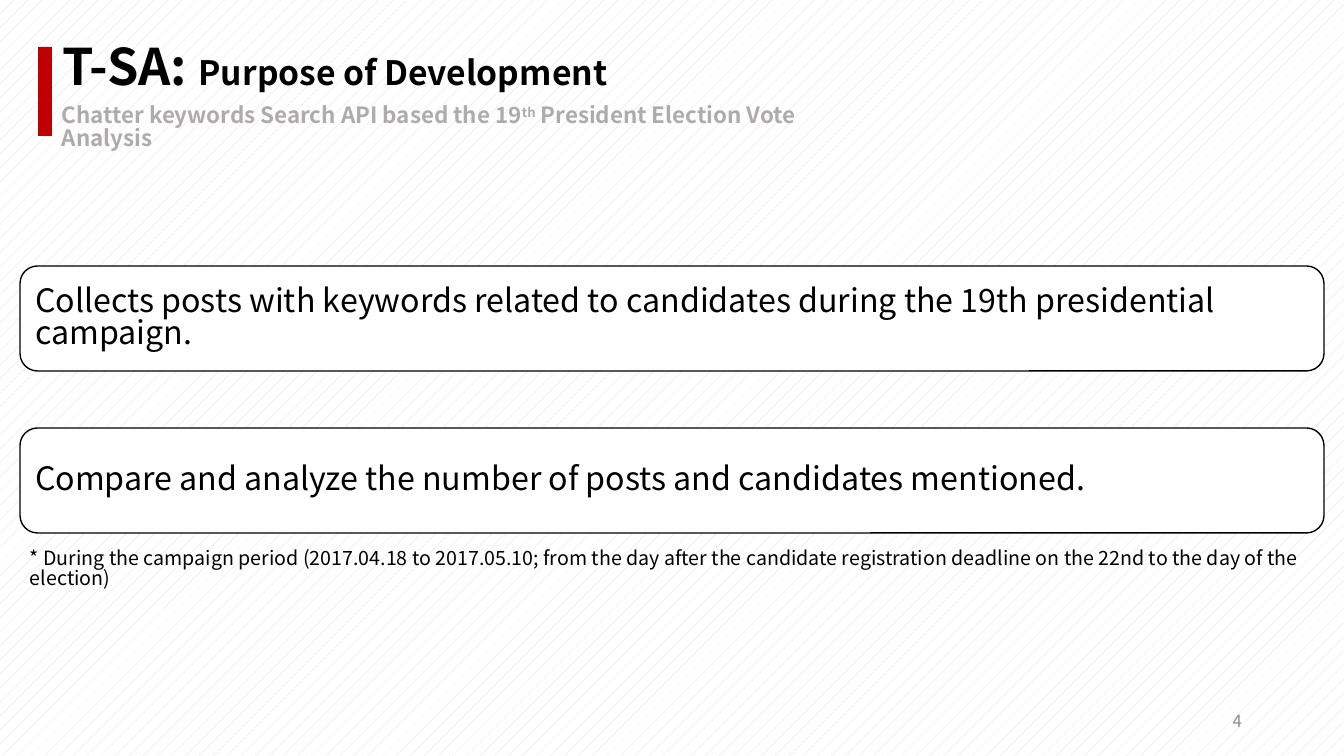
from pptx import Presentation
from pptx.dml.color import RGBColor
from pptx.enum.dml import MSO_PATTERN
from pptx.enum.shapes import MSO_SHAPE
from pptx.enum.text import MSO_ANCHOR, PP_ALIGN
from pptx.util import Pt

PX = 914400 / 100.8


def box(*lengths):
    return [round(length * PX) for length in lengths]


def style(paragraph, size, color="000000", bold=False, spacing=0.83, align=PP_ALIGN.LEFT):
    paragraph.font.name = "Noto Sans CJK KR"
    paragraph.font.size = Pt(size)
    paragraph.font.bold = bold
    paragraph.font.color.rgb = RGBColor.from_string(color)
    paragraph.line_spacing = spacing
    paragraph.alignment = align


presentation = Presentation()
presentation.slide_width, presentation.slide_height = box(1344, 756)
slide = presentation.slides.add_slide(presentation.slide_layouts[5])

background = slide.background.fill
background.patterned()
background.pattern = MSO_PATTERN.PERCENT_5
background.fore_color.rgb = RGBColor.from_string("E3D9D7")
background.back_color.rgb = RGBColor.from_string("FFFFFF")

accent = slide.shapes.add_shape(MSO_SHAPE.RECTANGLE, *box(38, 47, 14, 89))
accent.shadow.inherit = False
accent.fill.solid()
accent.fill.fore_color.rgb = RGBColor.from_string("C00000")
accent.line.fill.background()

title = slide.shapes.title
title.left, title.top, title.width, title.height = box(52, 37, 775, 119)
title.text_frame.vertical_anchor = MSO_ANCHOR.TOP
title.text_frame.word_wrap = True
paragraph = title.text_frame.paragraphs[0]
style(paragraph, 36, bold=True, spacing=0.9)
for words, size in (("T-SA: ", 36), ("Purpose of Development", 24)):
    run = paragraph.add_run()
    run.text = words
    run.font.size = Pt(size)

purposes = (
    "Collects posts with keywords related to candidates during the 19th presidential campaign.",
    "Compare and analyze the number of posts and candidates mentioned.",
)
for index, purpose in enumerate(purposes):
    card = slide.shapes.add_shape(MSO_SHAPE.ROUNDED_RECTANGLE, *box(20, 266 + index * 162, 1304, 105))
    card.shadow.inherit = False
    card.fill.solid()
    card.fill.fore_color.rgb = RGBColor.from_string("FFFFFF")
    card.line.color.rgb = RGBColor.from_string("000000")
    card.line.width = Pt(1)
    card.text_frame.word_wrap = True
    card.text_frame.vertical_anchor = MSO_ANCHOR.MIDDLE
    card.text_frame.text = purpose
    style(card.text_frame.paragraphs[0], 23)

subtitle = slide.shapes.add_textbox(*box(52, 101, 756, 37))
subtitle.text_frame.word_wrap = True
paragraph = subtitle.text_frame.paragraphs[0]
style(paragraph, 16, "AFABAB", bold=True)
for words in ("Chatter keywords Search API based the 19", "th", " President Election Vote Analysis"):
    run = paragraph.add_run()
    run.text = words
    if words == "th":
        run.font._element.set("baseline", "30000")

footnote = slide.shapes.add_textbox(*box(20, 545, 1304, 34))
footnote.text_frame.word_wrap = True
footnote.text_frame.text = (
    "* During the campaign period (2017.04.18 to 2017.05.10; from the day after the candidate "
    "registration deadline on the 22nd to the day of the election)"
)
style(footnote.text_frame.paragraphs[0], 14)

page_number = slide.shapes.add_textbox(*box(950, 701, 302, 40))
page_number.text_frame.vertical_anchor = MSO_ANCHOR.MIDDLE
page_number.text_frame.word_wrap = True
page_number.text_frame.text = "4"
style(page_number.text_frame.paragraphs[0], 12, "8C8C8C", spacing=1, align=PP_ALIGN.RIGHT)

presentation.save("out.pptx")
